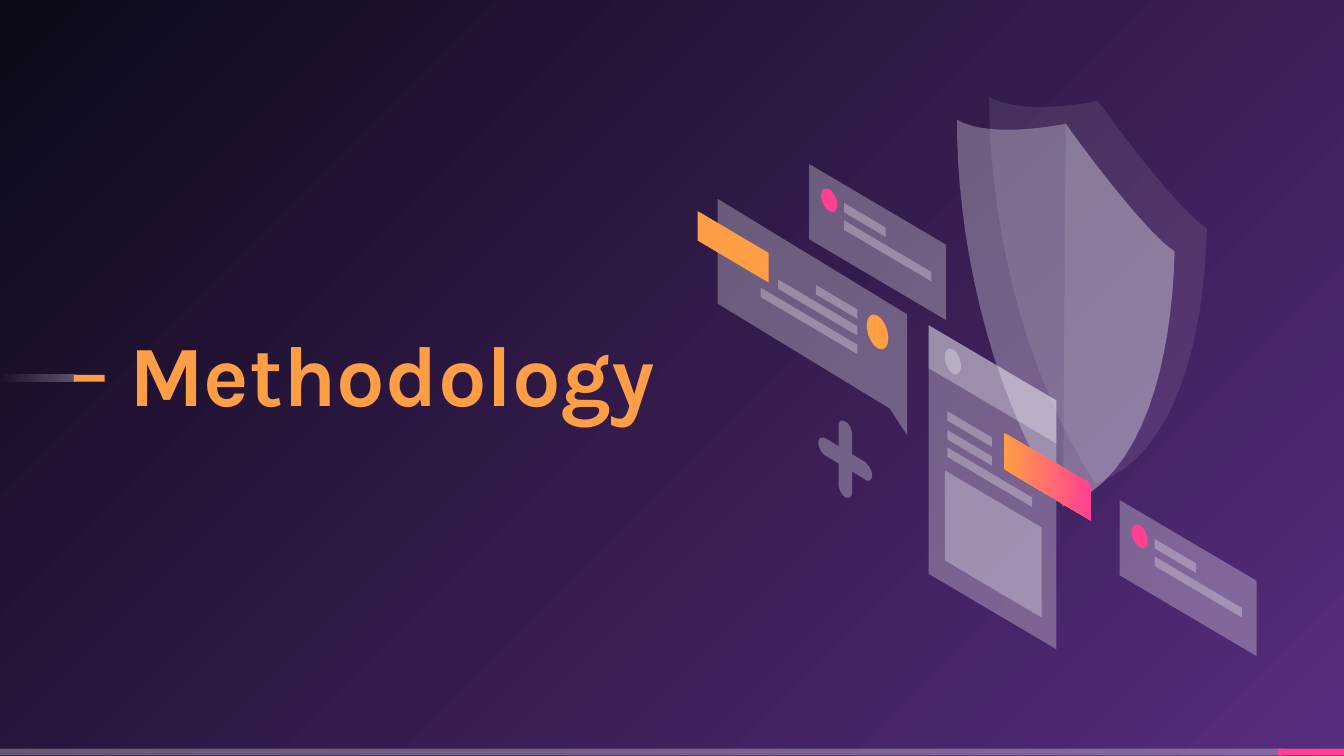
from math import cos, pi, sin

from lxml import etree
from pptx import Presentation
from pptx import util as u
from pptx.dml.color import RGBColor
from pptx.enum import shapes, text
from pptx.oxml.ns import qn

WHITE = RGBColor(0xFF, 0xFF, 0xFF)
ORANGE = RGBColor(0xFF, 0x9E, 0x44)
PINK = RGBColor(0xFF, 0x40, 0x93)
PURPLE = RGBColor(0x57, 0x2D, 0x7E)
NIGHT = RGBColor(0x0E, 0x09, 0x18)

VEIL = [(WHITE, 29)]
FAINT = [(WHITE, 9)]
AMBER = [(ORANGE, 100)]
ROSE = [(PINK, 100)]
FADE = [(WHITE, 29), (WHITE, 0)]
BLEND = [(ORANGE, 100), (PINK, 100)]

TITLE = "Methodology"
STYLE = {"name": "Karla", "size": u.Pt(46), "bold": True}
FRAME = {"margin_left": 0, "margin_top": 0, "margin_right": 0, "margin_bottom": 0,
         "word_wrap": True, "auto_size": text.MSO_AUTO_SIZE.NONE,
         "vertical_anchor": text.MSO_ANCHOR.BOTTOM}
BOX = (0.96, 1.89, 5.59, 1.27)

BARS = [
    ((0, 5.57, 9.54, 0.05), VEIL, 0),
    ((9.51, 5.57, 0.49, 0.05), ROSE, 0),
    ((0, 2.79, 0.56, 0.05), FADE, 180),
    ((0.55, 2.79, 0.23, 0.05), AMBER, 0),
]

SLOPE = 0.59
STEPS = 16

CARD = [
    ("slab", (0, 0, 1.02, 0.56), VEIL),
    ("slab", (0.26, 0.29, 0.31, 0.07), VEIL),
    ("slab", (0.26, 0.42, 0.65, 0.07), VEIL),
    ("dot", (0.15, 0.27, 0.06, 0.08), ROSE),
]
CARDS = [(6.02, 1.22), (8.33, 3.72)]

CURVE = (8.55, 1.75, 8.12, 1.19, 7.93, 0.92)
EDGE = (8.52, 3.56, 8.72, 2.66, 8.74, 1.87)
SHIELD = [(7.93, 0.92), (7.74, 0.96, 7.31, 1.01, 7.12, 0.89),
          (7.12, 1.69, 7.31, 2.83, 7.91, 3.77), EDGE, CURVE]
HALF = [(8.74, 1.87), CURVE, (7.91, 3.77), EDGE]
BACK = (0.24, -0.17)
BUBBLE = [(6.75, 2.34), (5.34, 1.48), (5.34, 2.26), (6.62, 3.04), (6.75, 3.24)]
PLUS = [
    (6.29, 3.14), (6.32, 3.15, 6.34, 3.2, 6.34, 3.23), (6.34, 3.38), (6.44, 3.44),
    (6.46, 3.46, 6.49, 3.5, 6.49, 3.54), (6.49, 3.57, 6.46, 3.59, 6.44, 3.57),
    (6.34, 3.51), (6.34, 3.66), (6.34, 3.7, 6.32, 3.71, 6.29, 3.7),
    (6.26, 3.68, 6.24, 3.64, 6.24, 3.6), (6.24, 3.45), (6.14, 3.39),
    (6.11, 3.37, 6.09, 3.33, 6.09, 3.29), (6.09, 3.26, 6.11, 3.25, 6.14, 3.26),
    (6.24, 3.32), (6.24, 3.17), (6.24, 3.13, 6.26, 3.12, 6.29, 3.14),
]

SCENE = [
    ("curve", SHIELD, VEIL),
    ("curve", HALF, FAINT),
    ("slab", (6.91, 2.42, 0.95, 1.85), VEIL),
    ("slab", (7.03, 3.5, 0.72, 0.67), VEIL),
    ("slab", (7.05, 3.06, 0.33, 0.07), VEIL),
    ("slab", (7.05, 3.2, 0.33, 0.07), VEIL),
    ("slab", (7.05, 3.33, 0.63, 0.07), VEIL),
    ("slab", (6.91, 2.42, 0.95, 0.32), VEIL),
    ("dot", (7.09, 2.69, 0.06, 0.09), VEIL),
    ("slab", (7.47, 3.22, 0.65, 0.27), BLEND),
    ("curve", BUBBLE, VEIL),
    ("slab", (5.19, 1.57, 0.53, 0.22), AMBER),
    ("slab", (6.07, 2.12, 0.31, 0.07), VEIL),
    ("slab", (5.79, 2.08, 0.59, 0.07), VEIL),
    ("slab", (5.66, 2.14, 0.72, 0.07), VEIL),
    ("dot", (6.53, 2.47, 0.08, 0.12), AMBER),
    ("curve", PLUS, VEIL),
]


def cm(inch):
    return u.Cm(inch * 2.54)


def slab(x, y, w, h):
    drop = w * SLOPE
    return [(x, y), (x + w, y + drop), (x + w, y + drop + h), (x, y + h)]


def dot(x, y, w, h):
    turns = [pi * i / STEPS for i in range(2 * STEPS)]
    return [(x + w * cos(t), y + h * sin(t) + SLOPE * w * cos(t)) for t in turns]


def curve(*legs):
    pts = [legs[0]]
    for leg in legs[1:]:
        if len(leg) == 2:
            pts.append(leg)
            continue
        a, b, c, d = pts[-1], leg[:2], leg[2:4], leg[4:]
        for i in range(1, STEPS + 1):
            t = i / STEPS
            s = 1 - t
            pts.append(tuple(s**3 * a[k] + 3 * s * s * t * b[k]
                             + 3 * s * t * t * c[k] + t**3 * d[k] for k in (0, 1)))
    return pts


def paint(shape, tones, angle=0):
    shape.shadow.inherit = False
    shape.line.fill.background()
    fill = shape.fill
    if len(tones) == 1:
        fill.solid()
        fill.fore_color.rgb = tones[0][0]
    else:
        fill.gradient()
        fill.gradient_angle = angle
        for stop, tone in zip(fill.gradient_stops, tones):
            stop.color.rgb = tone[0]
    for node, tone in zip(shape._element.spPr.iter(qn("a:srgbClr")), tones):
        if tone[1] < 100:
            etree.SubElement(node, qn("a:alpha"), val=str(tone[1] * 1000))


def draw(slide, kind, spot, tones, shift=(0, 0)):
    form = {"slab": slab, "dot": dot, "curve": curve}[kind]
    grid = [tuple(round((v + d) * 1000) for v, d in zip(pt, shift))
            for pt in form(*spot)]
    pen = slide.shapes.build_freeform(*grid[0], scale=cm(1) / 1000)
    pen.add_line_segments(grid[1:], close=True)
    paint(pen.convert_to_shape(), tones)


def glow(slide):
    fill = slide.background.fill
    fill.gradient()
    for stop, tone in zip(fill.gradient_stops, (PURPLE, NIGHT)):
        stop.color.rgb = tone
    grad = next(slide._element.iter(qn("a:gradFill")))
    grad.remove(grad.find(qn("a:lin")))
    ring = etree.SubElement(grad, qn("a:path"), path="circle")
    etree.SubElement(ring, qn("a:fillToRect"), l="100000", t="100000")
    for tile in grad.findall(qn("a:tileRect")):
        grad.remove(tile)
    etree.SubElement(grad, qn("a:tileRect"), r="-100000", b="-100000")


def head(slide):
    title = slide.shapes.title
    title.left, title.top, title.width, title.height = map(cm, BOX)
    frame = title.text_frame
    frame.text = TITLE
    for key, val in FRAME.items():
        setattr(frame, key, val)
    para = frame.paragraphs[0]
    para.alignment = text.PP_ALIGN.LEFT
    para.line_spacing = 0.9
    font = para.runs[0].font
    for key, val in STYLE.items():
        setattr(font, key, val)
    font.color.rgb = ORANGE


def main():
    deck = Presentation()
    deck.slide_width, deck.slide_height = cm(10), cm(10 * 9 / 16)
    slide = deck.slides.add_slide(deck.slide_layouts[0])
    sub = slide.placeholders[1]._element
    sub.getparent().remove(sub)
    glow(slide)
    for place, tones, angle in BARS:
        bar = slide.shapes.add_shape(shapes.MSO_SHAPE.RECTANGLE, *map(cm, place))
        paint(bar, tones, angle)
    head(slide)
    for spot in CARDS:
        for part in CARD:
            draw(slide, *part, shift=spot)
    draw(slide, "curve", SHIELD, FAINT, BACK)
    for part in SCENE:
        draw(slide, *part)
    deck.save("out.pptx")


if __name__ == "__main__":
    main()
